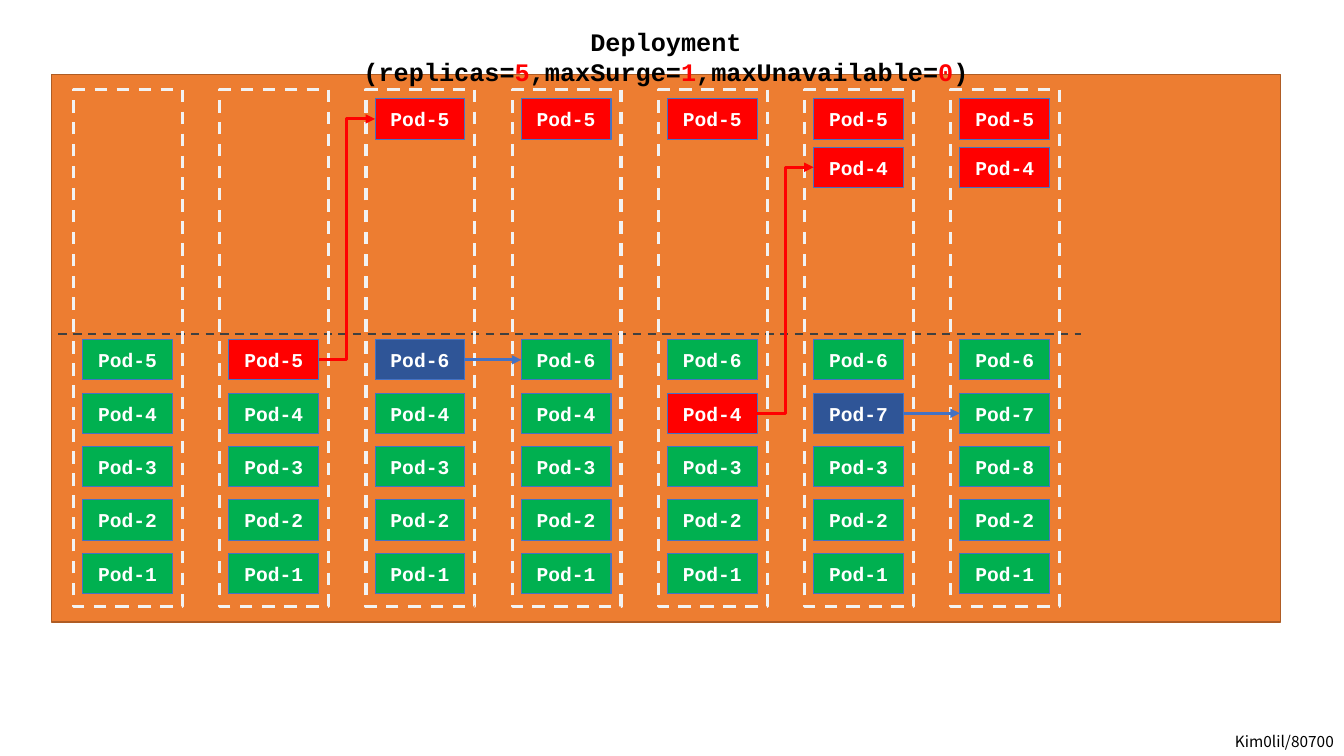
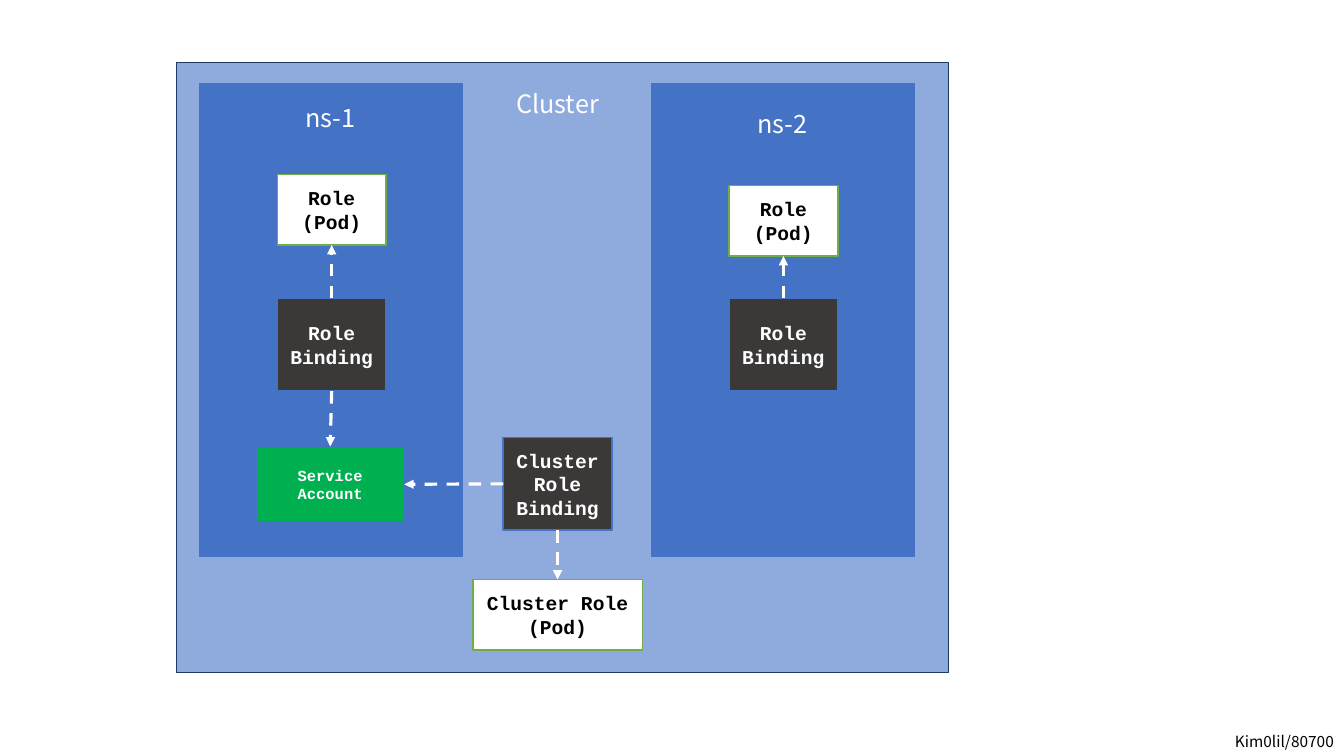
import pptx
import pptx.dml.color
import pptx.enum.dml
import pptx.enum.shapes
import pptx.enum.text
import pptx.oxml
import pptx.oxml.ns
import pptx.util

PX = 9144  # EMU; 100 px make an inch
TOP, LEFT, BOTTOM, RIGHT = range(4)
CODE_FONT, LABEL_FONT = "Courier New", "Noto Sans CJK KR"
WHITE, BLACK, RED, GREEN = "FFFFFF", "000000", "FF0000", "00B050"
BLUE, NAVY, CHARCOAL, LEAF = "4472C4", "2F5597", "3B3838", "70AD47"
ALIGN = pptx.enum.text.PP_ALIGN
ANCHOR = pptx.enum.text.MSO_ANCHOR
CONNECTOR = pptx.enum.shapes.MSO_CONNECTOR


def color(value):
    return pptx.dml.color.RGBColor.from_string(value)


def scaled(*lengths):
    """Turn px into EMU."""
    return [pptx.util.Emu(length * PX) for length in lengths]


class Deck:
    def __init__(self):
        self.presentation = pptx.Presentation()
        width, height = scaled(1333, 750)
        self.presentation.slide_width = width
        self.presentation.slide_height = height
        self.slide = None

    def add_slide(self):
        """Start a slide with the shared footer."""
        layout = self.presentation.slide_layouts[5]
        self.slide = self.presentation.slides.add_slide(layout)
        self.text_box((1136, 721, 197, 29), "Kim0lil/80700", 11, BLACK, ALIGN.RIGHT)

    def set_text(self, shape, paragraphs, size, font, bold, align=ALIGN.CENTER,
                 anchor=ANCHOR.TOP):
        """Fill a shape with paragraphs, each a list of (text, colour) runs."""
        frame = shape.text_frame
        frame.word_wrap = True
        frame.auto_size = pptx.enum.text.MSO_AUTO_SIZE.NONE
        frame.vertical_anchor = anchor
        for index, runs in enumerate(paragraphs):
            paragraph = frame.add_paragraph() if index else frame.paragraphs[0]
            paragraph.alignment = align
            for text, text_color in runs:
                run = paragraph.add_run()
                run.text = text
                run.font.size = pptx.util.Pt(size)
                run.font.name = font
                run.font.bold = bold
                run.font.color.rgb = color(text_color)

    def title(self, box, runs, font, bold):
        """Place the title above the shapes drawn so far."""
        shape = self.slide.shapes.title
        shape.left, shape.top, shape.width, shape.height = scaled(*box)
        self.slide.shapes._spTree.append(shape._element)
        self.set_text(shape, [runs], 18, font, bold)

    def text_box(self, box, text, size, text_color, align=ALIGN.CENTER):
        shape = self.slide.shapes.add_textbox(*scaled(*box))
        self.set_text(shape, [[(text, text_color)]], size, LABEL_FONT, False, align)

    def rectangle(self, box, fill, line, width=1, dashed=False):
        shape = self.slide.shapes.add_shape(
            pptx.enum.shapes.MSO_SHAPE.RECTANGLE, *scaled(*box))
        shape.shadow.inherit = False
        if fill:
            shape.fill.solid()
            shape.fill.fore_color.rgb = color(fill)
        else:
            shape.fill.background()
        self.stroke(shape.line, line, width, dashed)
        return shape

    def node(self, box, text, fill, line=BLUE, width=1, size=14, text_color=WHITE):
        """Draw a labelled box; each line of text is a paragraph."""
        shape = self.rectangle(box, fill, line, width)
        paragraphs = [[(part, text_color)] for part in text.split("\n")]
        self.set_text(shape, paragraphs, size, CODE_FONT, True, anchor=ANCHOR.MIDDLE)
        return shape

    def stroke(self, line, line_color, width, dashed):
        line.color.rgb = color(line_color)
        line.width = pptx.util.Pt(width)
        if dashed:
            line.dash_style = pptx.enum.dml.MSO_LINE.DASH

    def line(self, points, line_color, width, dashed=False, kind=CONNECTOR.STRAIGHT):
        connector = self.slide.shapes.add_connector(kind, *scaled(*points))
        self.stroke(connector.line, line_color, width, dashed)
        connector._element.spPr.append(pptx.oxml.parse_xml(
            "<a:effectLst %s/>" % pptx.oxml.ns.nsdecls("a")))
        return connector

    def arrow(self, start, start_side, end, end_side, line_color, dashed=False,
              kind=CONNECTOR.STRAIGHT):
        """Join the sides of two shapes, with the head at the second."""
        connector = self.line((0, 0, 0, 0), line_color, 2.25, dashed, kind)
        connector.begin_connect(start, start_side)
        connector.end_connect(end, end_side)
        outline = connector._element.spPr.find(pptx.oxml.ns.qn("a:ln"))
        outline.append(pptx.oxml.parse_xml(
            '<a:tailEnd type="triangle" %s/>' % pptx.oxml.ns.nsdecls("a")))


def deployment_slide(deck):
    deck.add_slide()
    deck.rectangle((51, 74, 1219, 543), "ED7D31", "AF5C24")
    deck.title((288, 21, 745, 40), [
        ("Deployment (replicas=", BLACK), ("5", RED),
        (",maxSurge=", BLACK), ("1", RED),
        (",maxUnavailable=", BLACK), ("0", RED), (")", BLACK),
    ], CODE_FONT, True)
    deck.line((58, 331, 1072, 331), "404040", 1.5, dashed=True)

    # removed pods, running pods, changing pod, its colour
    steps = [
        ("", "54321", None, None),
        ("", "54321", "5", RED),
        ("5", "64321", "6", NAVY),
        ("5", "64321", None, None),
        ("5", "64321", "4", RED),
        ("54", "67321", "7", NAVY),
        ("54", "67821", None, None),
    ]
    removed_pods, running_pods = [], []
    for column, (removed, running, changing, changing_color) in enumerate(steps):
        left = 73 + 145 * column
        deck.rectangle((left, 89, 108, 513), None, "F2F2F2", 2.25, dashed=True)

        def pod(number, top, fill):
            return deck.node((left + 9, top, 89, 40), "Pod-" + number, fill, width=0.75)

        removed_pods.append([pod(number, 98 + 48 * row, RED)
                             for row, number in enumerate(removed)])
        running_pods.append([
            pod(number, 337 + 53 * row, changing_color if number == changing else GREEN)
            for row, number in enumerate(running)])

    for column, row in ((2, 0), (5, 1)):
        deck.arrow(running_pods[column][row], RIGHT,
                   running_pods[column + 1][row], LEFT, BLUE)
        deck.arrow(running_pods[column - 1][row], RIGHT,
                   removed_pods[column][row], LEFT, RED, kind=CONNECTOR.ELBOW)


def cluster_slide(deck):
    deck.add_slide()
    deck.rectangle((175, 62, 766, 605), "8FAADC", "203864")

    def role(box, text):
        return deck.node(box, text, WHITE, LEAF, text_color=BLACK)

    bindings = []
    for name, left, label_top, role_top in (("ns-1", 198, 97, 173), ("ns-2", 646, 103, 184)):
        deck.rectangle((left, 83, 261, 469), BLUE, BLUE)
        deck.text_box((left + 42, label_top, 176, 40), name, 18, WHITE)
        namespace_role = role((left + 77, role_top, 108, 70), "Role\n(Pod)")
        binding = deck.node((left + 77, 296, 108, 92), "Role\nBinding", CHARCOAL)
        deck.arrow(binding, TOP, namespace_role, BOTTOM, WHITE, dashed=True)
        bindings.append(binding)

    deck.title((465, 83, 176, 40), [("Cluster", WHITE)], LABEL_FONT, False)
    account = deck.node((254, 443, 147, 75), "Service Account", GREEN, size=11)
    cluster_role = role((469, 575, 168, 70), "Cluster Role\n(Pod)")
    cluster_binding = deck.node((499, 434, 108, 92), "Cluster\nRole\nBinding", CHARCOAL)
    for start, start_side, end, end_side in (
            (bindings[0], BOTTOM, account, TOP),
            (cluster_binding, BOTTOM, cluster_role, TOP),
            (cluster_binding, LEFT, account, RIGHT)):
        deck.arrow(start, start_side, end, end_side, WHITE, dashed=True)


def main():
    deck = Deck()
    deployment_slide(deck)
    cluster_slide(deck)
    deck.presentation.save("out.pptx")


if __name__ == "__main__":
    main()
